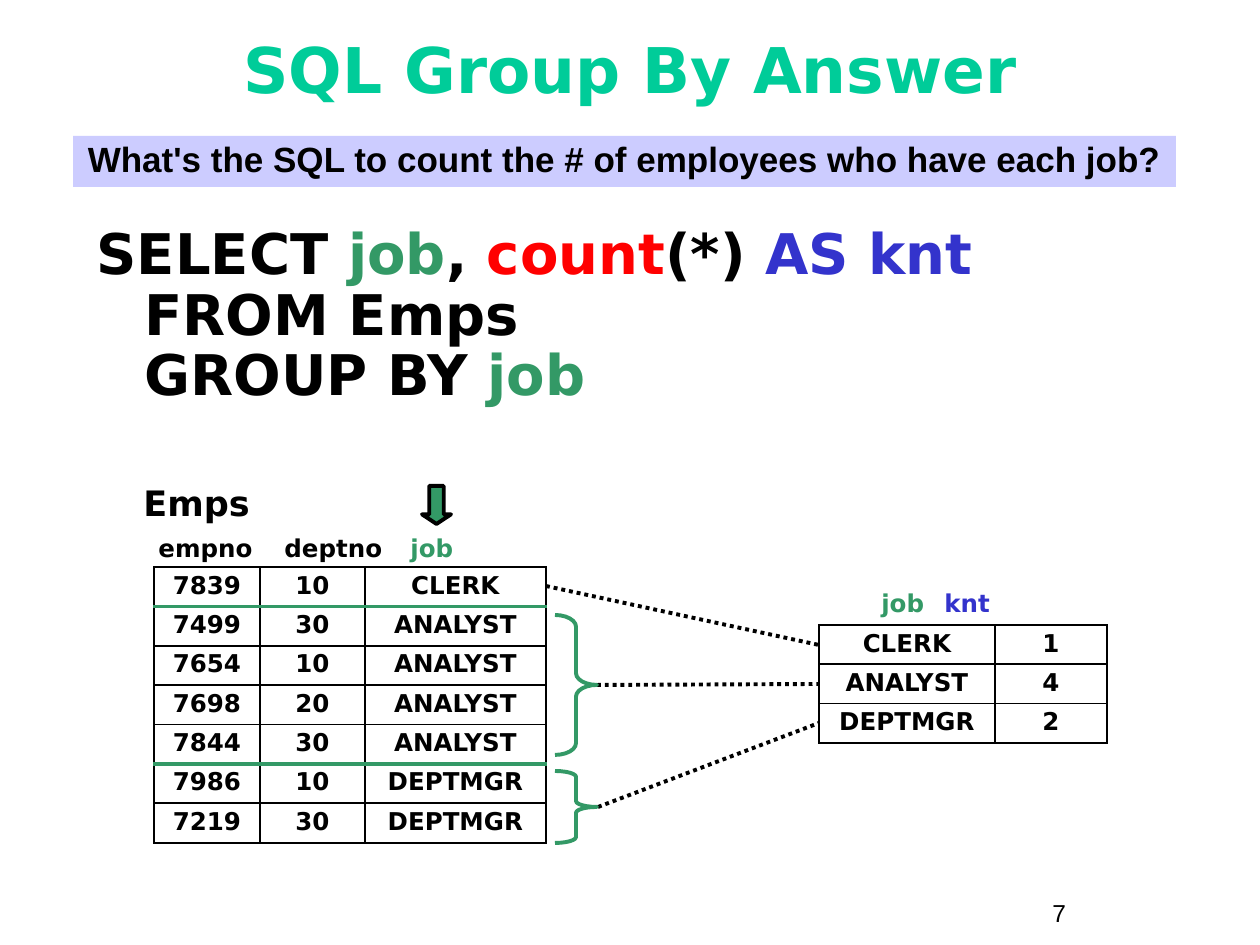
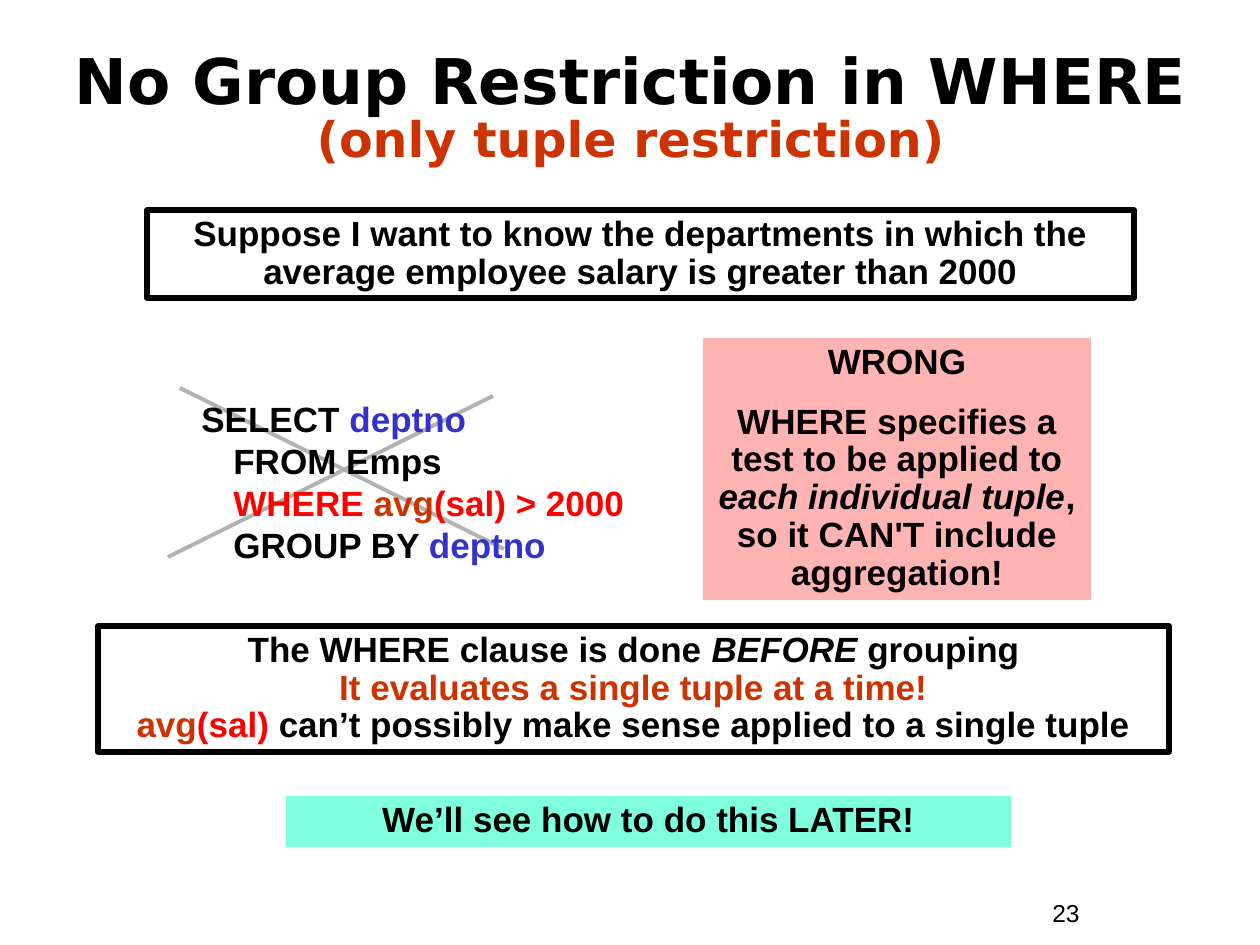
from lxml.etree import SubElement
from pptx import Presentation
from pptx.dml.color import RGBColor
from pptx.enum.dml import MSO_LINE
from pptx.enum.shapes import MSO_CONNECTOR, MSO_SHAPE
from pptx.enum.text import MSO_ANCHOR, MSO_AUTO_SIZE, PP_ALIGN
from pptx.oxml import parse_xml
from pptx.oxml.ns import nsdecls, qn
from pptx.util import Emu, Pt

SCALE = 914400 / 126
COLORS = {
    "black": "000000", "mint": "00CC99", "green": "339966", "red": "FF0000",
    "blue": "3333CC", "rust": "CC3300", "gray": "B2B2B2",
    "lavender": "CCCCFF", "aqua": "7FFFDD", "pink": "FFB3B3",
}
FONTS = {
    "title": {"name": "DejaVu Sans", "size": Pt(36), "bold": True},
    "query": {"name": "DejaVu Sans", "size": Pt(32), "bold": True},
    "label": {"name": "DejaVu Sans", "size": Pt(20), "bold": True},
    "cell": {"name": "DejaVu Sans", "size": Pt(14), "bold": True},
    "note": {"name": "Arial", "size": Pt(20), "bold": True},
    "number": {"name": "Arial", "size": Pt(14), "bold": False},
}
ITALIC = {"italic": True}
CENTER = {"alignment": PP_ALIGN.CENTER}
TIGHT = {"alignment": PP_ALIGN.CENTER, "line_spacing": 0.9}


def px(n):
    return Emu(round(n * SCALE))


def rgb(color):
    return RGBColor.from_string(COLORS[color])


class Deck:
    def __init__(self):
        self.prs = Presentation()
        self.prs.slide_width, self.prs.slide_height = px(1260), px(945)
        self.slide = None

    def new_slide(self, layout, number):
        self.slide = self.prs.slides.add_slide(self.prs.slide_layouts[layout])
        self.text((1040, 892, 116, 43), "number", [(str(number),)])

    def run(self, p, font, text, color="black", extra=None):
        for i, line in enumerate(text.split("\n")):
            if i:
                p.add_line_break()
            if line:
                r = p.add_run()
                r.text = line
                r.font.color.rgb = rgb(color)
                for key, value in {**FONTS[font], **(extra or {})}.items():
                    setattr(r.font, key, value)

    def paragraph(self, p, font, runs, fmt=None, hang=0, tabs=()):
        for key, value in (fmt or {}).items():
            setattr(p, key, value)
        pPr = p._p.get_or_add_pPr()
        pPr.set("marL", str(px(hang)))
        pPr.set("indent", str(-px(hang)))
        SubElement(pPr, qn("a:buNone"))
        if tabs:
            tab_list = SubElement(pPr, qn("a:tabLst"))
            for pos in tabs:
                SubElement(tab_list, qn("a:tab"), pos=str(px(pos)), algn="l")
        for run in runs:
            self.run(p, font, *run)

    def frame(self, sp, anchor=MSO_ANCHOR.TOP):
        tf = sp.text_frame
        tf.auto_size = MSO_AUTO_SIZE.NONE
        tf.word_wrap = True
        tf.vertical_anchor = anchor
        return tf

    def placeholder(self, idx, box, font, runs, anchor, fmt, hang=0):
        sp = self.slide.placeholders[idx]
        sp.left, sp.top, sp.width, sp.height = map(px, box)
        self.paragraph(self.frame(sp, anchor).paragraphs[0], font, runs, fmt, hang)

    def title(self, box, runs, fmt=CENTER):
        self.placeholder(0, box, "title", runs, MSO_ANCHOR.MIDDLE, fmt)

    def body(self, box, runs, hang):
        self.placeholder(1, box, "query", runs, MSO_ANCHOR.TOP,
                         {"line_spacing": 0.9, "space_before": Pt(0)}, hang)

    def text(self, box, font, runs, hang=0, tabs=()):
        sp = self.slide.shapes.add_textbox(*map(px, box))
        self.paragraph(self.frame(sp).paragraphs[0], font, runs, None, hang, tabs)

    def shape(self, kind, box, fill=None, line=None, weight=2.25, adj=()):
        sp = self.slide.shapes.add_shape(kind, *map(px, box))
        sp.shadow.inherit = False
        for i, value in enumerate(adj):
            sp.adjustments[i] = value
        if fill:
            sp.fill.solid()
            sp.fill.fore_color.rgb = rgb(fill)
        else:
            sp.fill.background()
        if line:
            sp.line.color.rgb = rgb(line)
            sp.line.width = Pt(weight)
        else:
            sp.line.fill.background()
        return sp

    def note(self, box, *paragraphs, fill=None, line=None):
        tf = self.frame(self.shape(MSO_SHAPE.RECTANGLE, box, fill, line, 3))
        for i, runs in enumerate(paragraphs):
            p = tf.add_paragraph() if i else tf.paragraphs[0]
            self.paragraph(p, "note", runs,
                           {**TIGHT, "space_before": Pt(12.5 if i else 0)})

    def line(self, ends, color="black", dash=None):
        c = self.slide.shapes.add_connector(MSO_CONNECTOR.STRAIGHT, *map(px, ends))
        c.line.color.rgb = rgb(color)
        c.line.width = Pt(2.25)
        if dash:
            c.line.dash_style = dash
        SubElement(c._element.spPr, qn("a:effectLst"))

    def border(self, cell, sides):
        tcPr = cell._tc.get_or_add_tcPr()
        for i, (side, (color, weight)) in enumerate(sides.items()):
            tcPr.insert(i, parse_xml(
                f'<a:ln{side} {nsdecls("a")} w="{int(Pt(weight))}"><a:solidFill>'
                f'<a:srgbClr val="{COLORS[color]}"/></a:solidFill></a:ln{side}>'))

    def table(self, left, top, height, widths, rows, group_ends=()):
        tbl = self.slide.shapes.add_table(
            len(rows), len(widths), *map(px, (left, top, sum(widths), height))).table
        tbl.first_row = tbl.horz_banding = False
        for col, width in zip(tbl.columns, widths):
            col.width = px(width)
        thin, thick = ("black", 1.08), ("green", 2.21)
        for r, values in enumerate(rows):
            tbl.rows[r].height = px(height / len(rows))
            sides = {"L": thin, "R": thin,
                     "T": thick if r - 1 in group_ends else thin,
                     "B": thick if r in group_ends else thin}
            for c, value in enumerate(values):
                cell = tbl.cell(r, c)
                cell.fill.background()
                self.border(cell, sides)
                self.paragraph(cell.text_frame.paragraphs[0], "cell", [(value,)], TIGHT)


def group_by_answer(deck):
    deck.new_slide(1, 7)
    deck.title((42, 10, 1176, 116), [("SQL Group By Answer", "mint")])
    deck.body((84, 220, 1134, 220), [
        ("SELECT ",), ("job", "green"), (", ",), ("count", "red"), ("(*) ",),
        ("AS knt\n", "blue"), ("FROM Emps\nGROUP BY ",), ("job", "green")], hang=48)
    deck.note((73, 136, 1103, 51),
              [("What's the SQL to count the # of employees who have each job?",)],
              fill="lavender")

    deck.table(819, 625, 118, (176, 112),
               [("CLERK", "1"), ("ANALYST", "4"), ("DEPTMGR", "2")])
    deck.text((869, 582, 265, 43), "cell", [("job\t", "green"), ("knt", "blue")],
              tabs=(146,))
    for ends in ((597, 685, 819, 684), (546, 586, 819, 645), (598, 807, 819, 723)):
        deck.line(ends, dash=MSO_LINE.ROUND_DOT)

    deck.table(154, 567, 276, (106, 105, 181), [
        ("7839", "10", "CLERK"),
        ("7499", "30", "ANALYST"),
        ("7654", "10", "ANALYST"),
        ("7698", "20", "ANALYST"),
        ("7844", "30", "ANALYST"),
        ("7986", "10", "DEPTMGR"),
        ("7219", "30", "DEPTMGR")], group_ends=(0, 4))
    deck.text((131, 475, 294, 55), "label", [("Emps",)])
    for top, height, curl in ((615, 140, 0.28), (771, 72, 0.14)):
        deck.shape(MSO_SHAPE.RIGHT_BRACE, (555, top, 42, height), line="green",
                   adj=(curl, 0.5))
    deck.shape(MSO_SHAPE.DOWN_ARROW, (422, 486, 29, 38), "green", "black",
               adj=(0.5, 0.33))
    deck.text((146, 527, 399, 43), "cell", [("empno\tdeptno\t",), ("job", "green")],
              tabs=(111, 260))


def no_group_restriction(deck):
    deck.new_slide(5, 23)
    for ends in ((168, 557, 493, 396), (180, 388, 504, 549)):
        deck.line(ends, "gray")
    deck.title((32, 21, 1197, 179), [
        ("No Group Restriction in WHERE\n",),
        ("(only tuple restriction)", "rust", {"size": Pt(28)})],
        {**CENTER, "line_spacing": 0.85})
    deck.text((189, 391, 683, 181), "note", [
        ("SELECT ",), ("deptno\n", "blue"), ("FROM Emps\n",), ("WHERE ", "red"),
        ("avg", "rust"), ("(sal) > 2000\n", "red"), ("GROUP BY ",),
        ("deptno", "blue")], hang=32)
    deck.note((147, 210, 987, 88), [
        ("Suppose I want to know the departments in which the "
         "average employee salary is greater than 2000",)], line="black")
    deck.note((286, 796, 725, 51), [("We’ll see how to do this LATER!",)], fill="aqua")
    deck.note((98, 626, 1071, 126), [
        ("The WHERE clause is done ",), ("BEFORE", "black", ITALIC), (" grouping\n",),
        ("It evaluates a single tuple at a time!\navg", "rust"), ("(sal)", "red"),
        (" can’t possibly make sense applied to a single tuple",)], line="black")
    deck.note((703, 338, 388, 262), [("WRONG",)], [
        ("WHERE specifies a test to be applied to ",),
        ("each individual tuple", "black", ITALIC),
        (", so it CAN'T include aggregation!",)], fill="pink")


def main():
    deck = Deck()
    group_by_answer(deck)
    no_group_restriction(deck)
    deck.prs.save("out.pptx")


if __name__ == "__main__":
    main()
